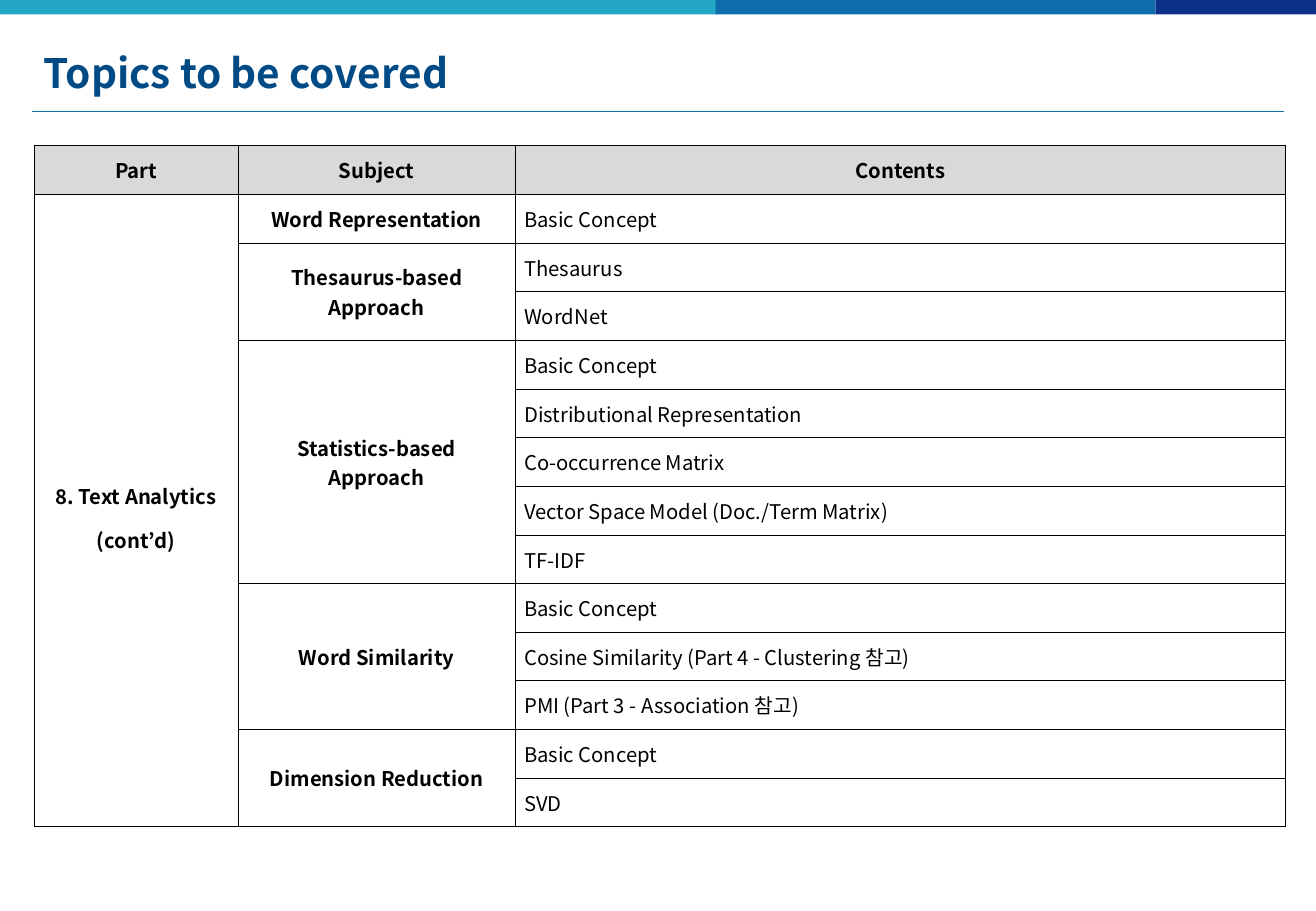
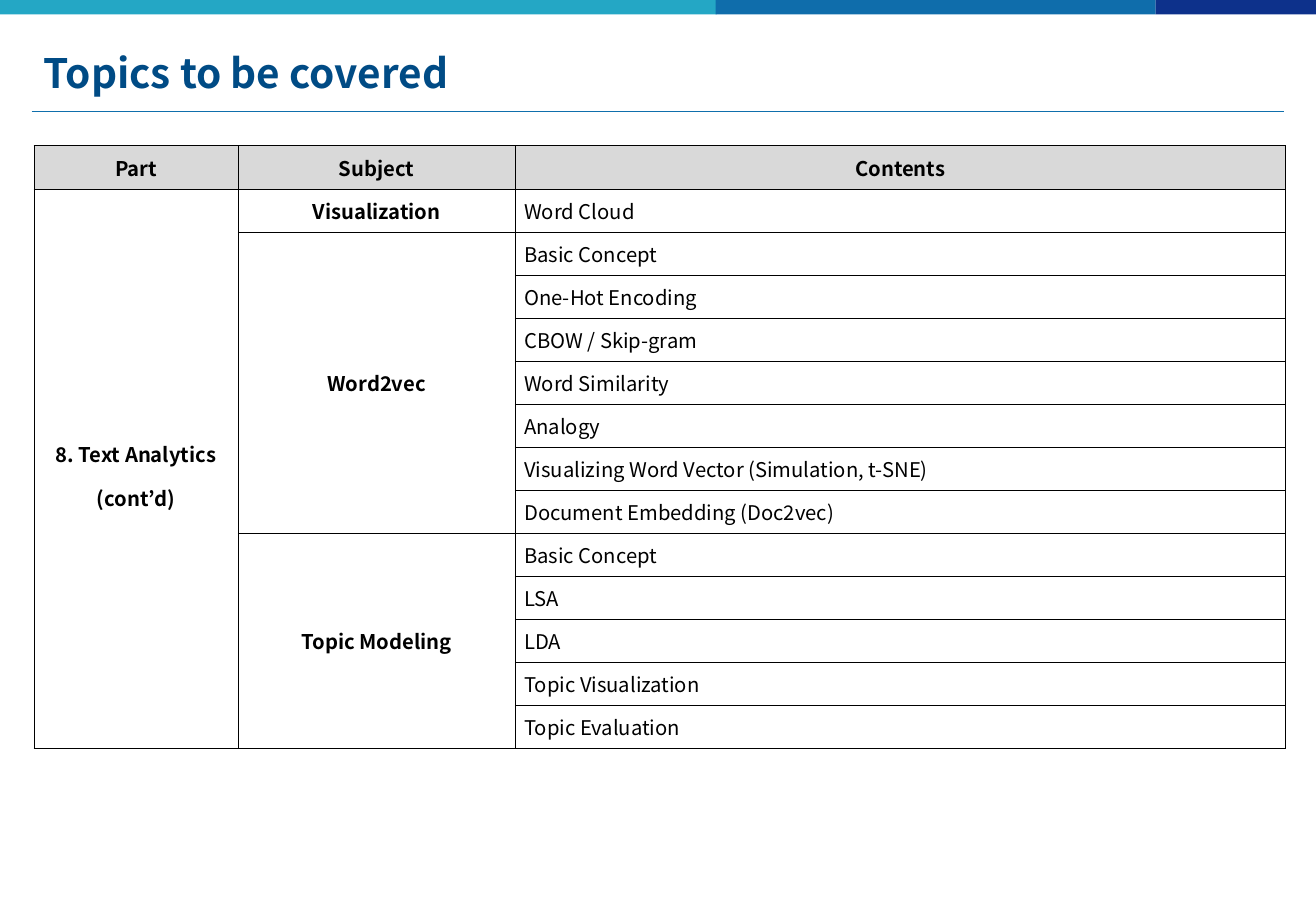
from lxml.etree import SubElement
from pptx import Presentation
from pptx.dml.color import RGBColor
from pptx.enum.shapes import MSO_CONNECTOR, MSO_SHAPE
from pptx.enum.text import MSO_ANCHOR, MSO_AUTO_SIZE, PP_ALIGN
from pptx.oxml.ns import qn
from pptx.util import Cm, Pt

TITLE = "Topics to be covered"
HEADINGS = ["Part", "Subject", "Contents"]
PART = ["8. Text Analytics", "(cont’d)"]
TOPICS = [
    {
        "height": 14.25,
        "subjects": [
            (["Word Representation"], ["Basic Concept"]),
            (["Thesaurus-based", "Approach"], ["Thesaurus", "WordNet"]),
            (["Statistics-based", "Approach"], [
                "Basic Concept",
                "Distributional Representation",
                "Co-occurrence Matrix",
                "Vector Space Model (Doc./Term Matrix)",
                "TF-IDF",
            ]),
            (["Word Similarity"], [
                "Basic Concept",
                "Cosine Similarity (Part 4 - Clustering 참고)",
                "PMI (Part 3 - Association 참고)",
            ]),
            (["Dimension Reduction"], ["Basic Concept", "SVD"]),
        ],
    },
    {
        "height": 12.6,
        "subjects": [
            (["Visualization"], ["Word Cloud"]),
            (["Word2vec"], [
                "Basic Concept",
                "One-Hot Encoding",
                "CBOW / Skip-gram",
                "Word Similarity",
                "Analogy",
                "Visualizing Word Vector (Simulation, t-SNE)",
                "Document Embedding (Doc2vec)",
            ]),
            (["Topic Modeling"], [
                "Basic Concept",
                "LSA",
                "LDA",
                "Topic Visualization",
                "Topic Evaluation",
            ]),
        ],
    },
]

COLORS = {
    "title": "004B85", "rule": "0F6FAC", "text": "000000", "border": "000000",
    "heading": "D9D9D9", "body": "FFFFFF",
    "teal": "24A7C5", "blue": "0F6DAB", "navy": "0D318B",
}
FONT = "Noto Sans CJK KR"
SLIDE_SIZE = (27.51, 19.05)
BANDS = [("teal", -0.03, 15.01), ("blue", 14.96, 9.2), ("navy", 24.16, 3.35)]
BAND_HEIGHT = 0.3
RULE = (0.66, 26.85, 2.33)
TITLE_BOX = {"left": 0.66, "top": 0.69, "width": 26.21, "height": 1.63}
TABLE_AT = (0.71, 3.05)
COLUMNS = [4.27, 5.79, 16.1]
CONTENT_INDENT = 0.19
TITLE_FONT = {"size": Pt(24), "bold": True, "name": FONT}
LABEL_FONT = {"size": Pt(12), "bold": True, "name": FONT}
CONTENT_FONT = {**LABEL_FONT, "bold": False}
LABEL = {"alignment": PP_ALIGN.CENTER}
PART_LABEL = {**LABEL, "line_spacing": 1.5}
CONTENT = {"alignment": PP_ALIGN.LEFT}


def rgb(name):
    return RGBColor.from_string(COLORS[name])


def apply(target, values):
    for name, value in values.items():
        setattr(target, name, value)


def write(frame, lines, font, color, layout):
    for index, line in enumerate(lines):
        paragraph = frame.paragraphs[0] if index == 0 else frame.add_paragraph()
        apply(paragraph, layout)
        run = paragraph.add_run()
        run.text = line
        run.font.color.rgb = rgb(color)
        apply(run.font, font)
        SubElement(run.font._element, qn("a:ea"), typeface=FONT)


def style_cell(cell, fill):
    apply(cell, dict.fromkeys(
        ("margin_left", "margin_right", "margin_top", "margin_bottom"), 0))
    cell.vertical_anchor = MSO_ANCHOR.MIDDLE
    properties = cell._tc.get_or_add_tcPr()
    for side in ("lnL", "lnR", "lnT", "lnB"):
        border = SubElement(properties, qn(f"a:{side}"), w=str(Pt(0.5)))
        SubElement(SubElement(border, qn("a:solidFill")), qn("a:srgbClr"),
                   val=COLORS["border"])
    cell.fill.solid()
    cell.fill.fore_color.rgb = rgb(fill)


def add_frame(slide):
    left, right, y = RULE
    rule = slide.shapes.add_connector(
        MSO_CONNECTOR.STRAIGHT, Cm(left), Cm(y), Cm(right), Cm(y))
    rule.line.color.rgb = rgb("rule")
    rule.line.width = Pt(1)
    SubElement(rule._element.spPr, qn("a:effectLst"))
    for color, x, width in BANDS:
        band = slide.shapes.add_shape(
            MSO_SHAPE.RECTANGLE, Cm(x), 0, Cm(width), Cm(BAND_HEIGHT))
        band.shadow.inherit = False
        band.fill.solid()
        band.fill.fore_color.rgb = rgb(color)
        band.line.fill.background()
    title = slide.shapes.title
    apply(title, {side: Cm(length) for side, length in TITLE_BOX.items()})
    apply(title.text_frame, {
        "word_wrap": True, "auto_size": MSO_AUTO_SIZE.NONE,
        "vertical_anchor": MSO_ANCHOR.MIDDLE})
    write(title.text_frame, [TITLE], TITLE_FONT, "title", CONTENT)


def add_topics(slide, height, subjects):
    row_count = 1 + sum(len(contents) for _, contents in subjects)
    table = slide.shapes.add_table(
        row_count, len(COLUMNS), *map(Cm, TABLE_AT),
        Cm(sum(COLUMNS)), Cm(height)).table
    apply(table, {"first_row": False, "horz_banding": False})
    for column, width in zip(table.columns, COLUMNS):
        column.width = Cm(width)
    for index, row in enumerate(table.rows):
        row.height = Cm(height / row_count)
        for cell in row.cells:
            style_cell(cell, "body" if index else "heading")

    def fill_cell(row, column, lines, font=LABEL_FONT, layout=LABEL):
        write(table.cell(row, column).text_frame, lines, font, "text", layout)

    for column, heading in enumerate(HEADINGS):
        fill_cell(0, column, [heading])
    table.cell(1, 0).merge(table.cell(row_count - 1, 0))
    fill_cell(1, 0, PART, layout=PART_LABEL)
    first = 1
    for subject, contents in subjects:
        if len(contents) > 1:
            table.cell(first, 1).merge(table.cell(first + len(contents) - 1, 1))
        fill_cell(first, 1, subject)
        for row, content in enumerate(contents, first):
            table.cell(row, 2).margin_left = Cm(CONTENT_INDENT)
            fill_cell(row, 2, [content], CONTENT_FONT, CONTENT)
        first += len(contents)


deck = Presentation()
deck.slide_width, deck.slide_height = map(Cm, SLIDE_SIZE)
for topics in TOPICS:
    slide = deck.slides.add_slide(deck.slide_layouts.get_by_name("Title Only"))
    add_frame(slide)
    add_topics(slide, **topics)
deck.save("out.pptx")
